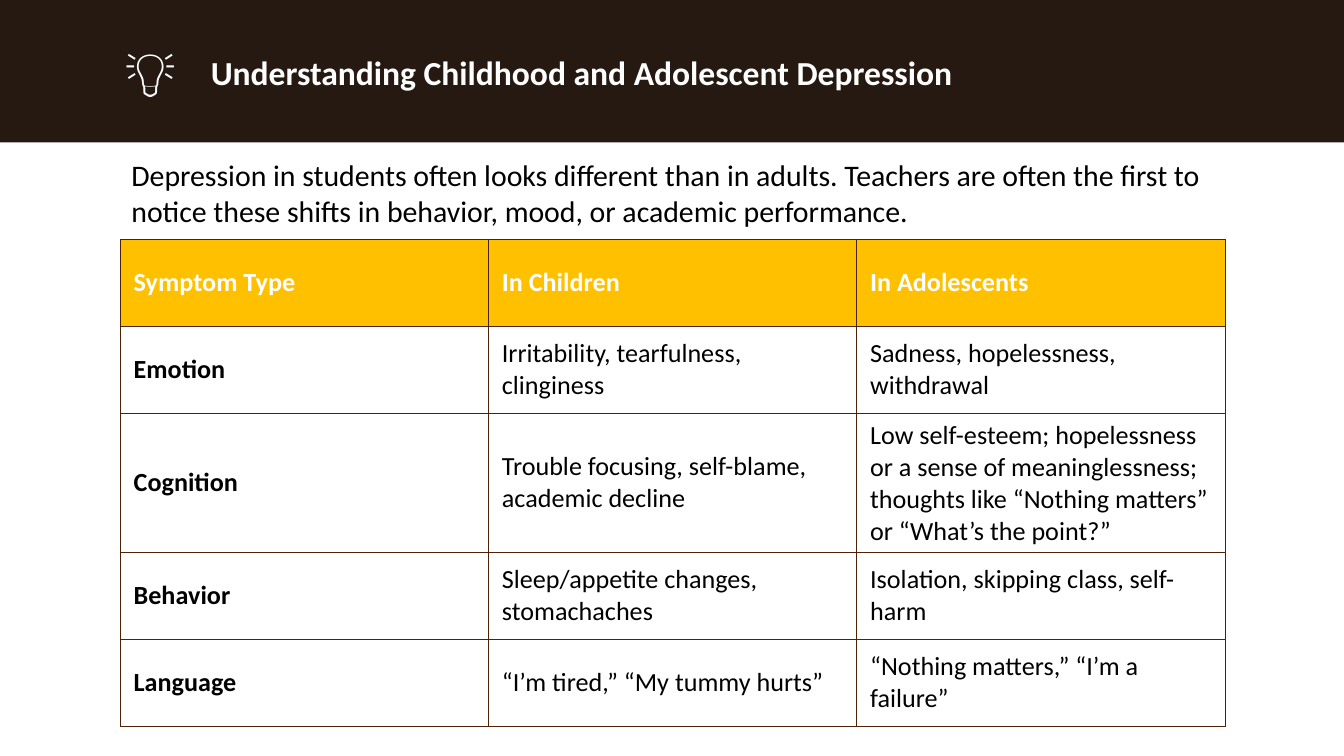
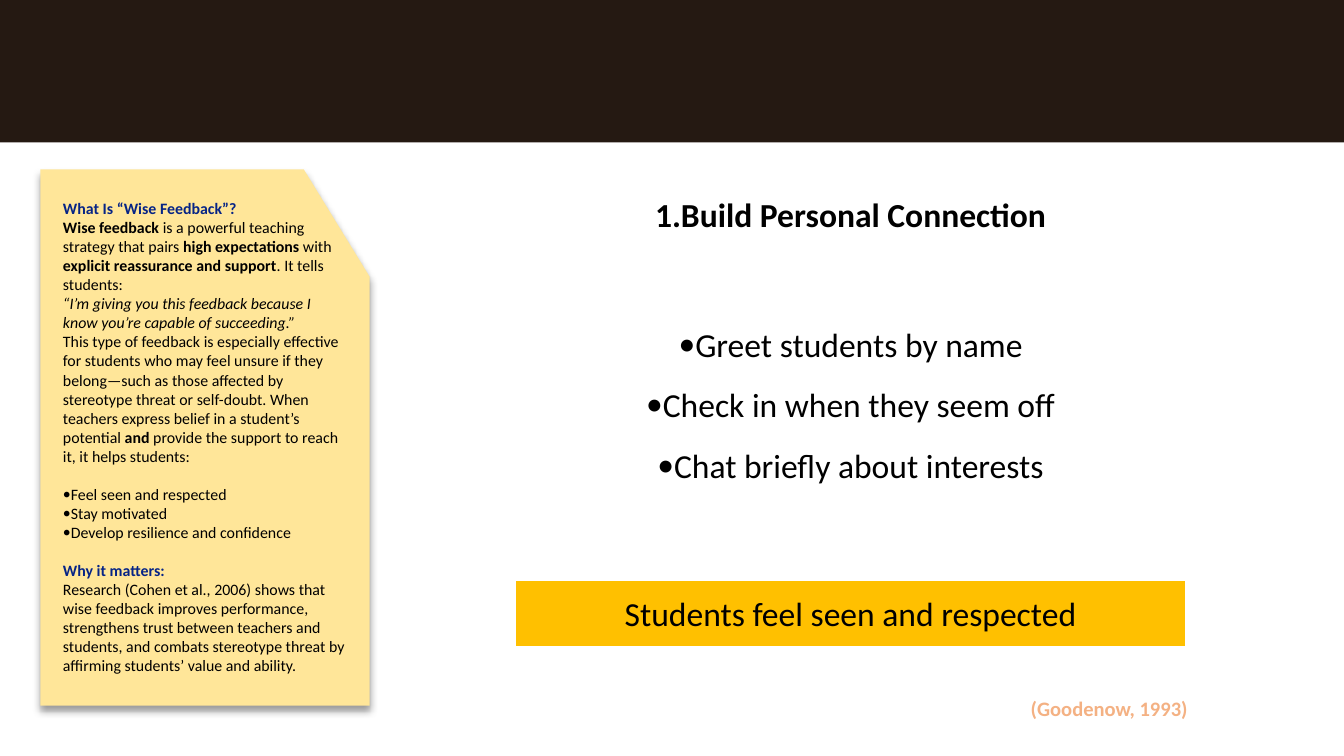
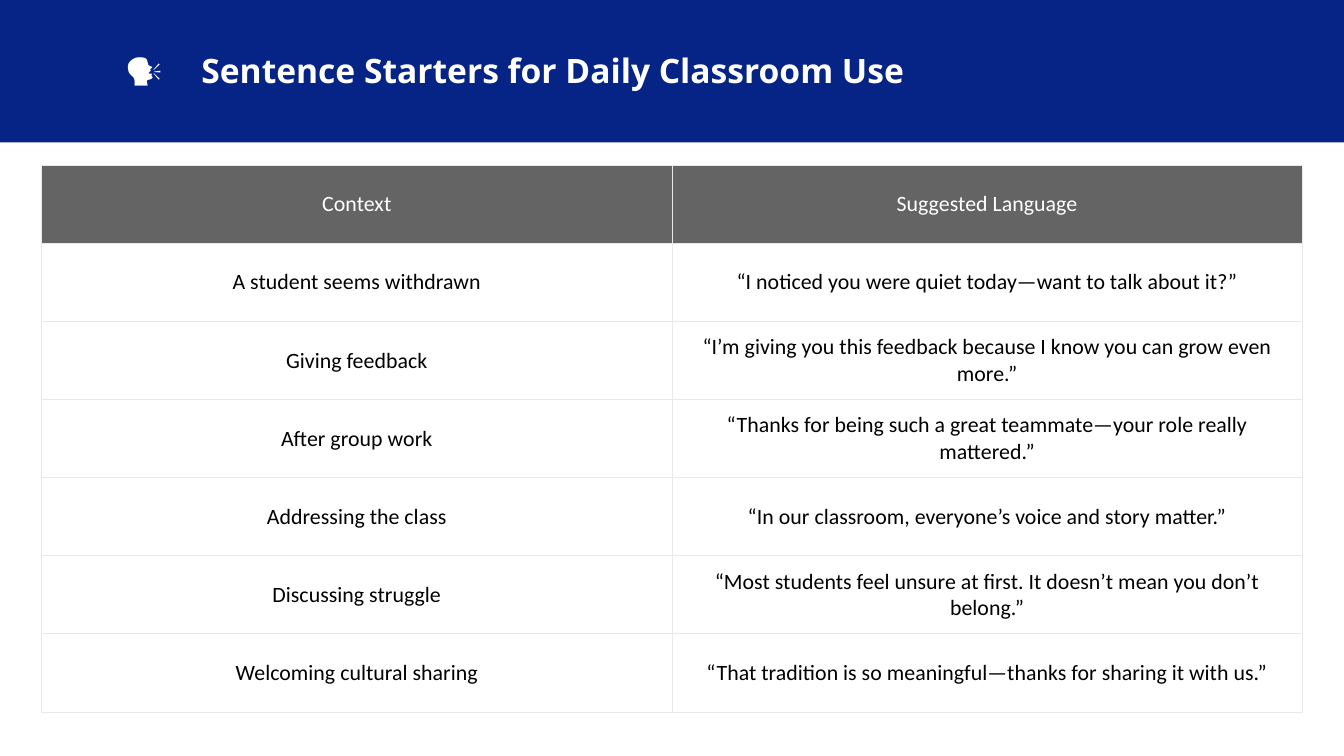
from dataclasses import dataclass, replace

from lxml import etree
from pptx import Presentation
from pptx.dml.color import RGBColor
from pptx.enum.shapes import MSO_SHAPE as Preset
from pptx.enum.text import MSO_ANCHOR as Anchor, PP_ALIGN as Align
from pptx.oxml.ns import qn
from pptx.util import Inches, Pt


@dataclass(frozen=True)
class Theme:
    """Colours, fonts and type sizes shared by the slides."""
    dark: str = "251912"
    navy: str = "062486"
    gold: str = "FFC000"
    sand: str = "FFE699"
    peach: str = "F4B183"
    brown: str = "4D2307"
    slate: str = "646464"
    mist: str = "E9E9E9"
    white: str = "FFFFFF"
    black: str = "000000"
    body_font: str = "Calibri"
    title_font: str = "Open Sans"
    icon_font: str = "Noto Sans CJK SC"
    title: float = 18
    intro: float = 16
    symptom: float = 14
    starter: float = 11.7
    citation: float = 11
    note: float = 8.5
    rule: float = 0.5


THEME = Theme()
COLUMNS, ROWS, CELL = 100, 56.25, 0.1


@dataclass(frozen=True)
class Box:
    """An area measured in columns and rows of the slide grid."""
    col: float
    row: float
    cols: float
    rows: float

    def area(self, col, row, cols, rows):
        """Return an area placed relative to this one."""
        return Box(self.col + col, self.row + row, cols, rows)

    def emu(self):
        """Return left, top, width and height as slide lengths."""
        return [Inches(n * CELL) for n in (self.col, self.row, self.cols, self.rows)]


PAGE = Box(0, 0, COLUMNS, ROWS)
BAND = PAGE.area(0, 0, COLUMNS, 10.6)


@dataclass(frozen=True)
class Style:
    """The look of one run of text."""
    size: float
    color: str = THEME.black
    bold: bool = False
    italic: bool = False
    font: str = THEME.body_font


@dataclass(frozen=True)
class Para:
    """A paragraph made of (text, style) runs."""
    runs: tuple
    align: Align = Align.LEFT
    bullet: bool = False
    before: float = 0
    spacing: float = 1.0


def line(text, style, **layout):
    """Return a paragraph holding a single run."""
    return Para(((text, style),), **layout)


def rgb(color):
    """Convert a hex string to a colour."""
    return RGBColor.from_string(color)


def write(frame, paras):
    """Fill a text frame run by run."""
    frame.word_wrap = True
    for index, para in enumerate(paras):
        target = frame.paragraphs[0] if index == 0 else frame.add_paragraph()
        target.alignment = para.align
        target.space_before = Pt(para.before)
        target.line_spacing = para.spacing
        if para.bullet:
            props = target._p.get_or_add_pPr()
            props.set("marL", "0")
            props.set("indent", "0")
            etree.SubElement(props, qn("a:buFont")).set("typeface", THEME.body_font)
            etree.SubElement(props, qn("a:buChar")).set("char", "•")
        for text, style in para.runs:
            run = target.add_run()
            run.text = text
            font = run.font
            font.name, font.size = style.font, Pt(style.size)
            font.bold, font.italic = style.bold, style.italic
            font.color.rgb = rgb(style.color)
            etree.SubElement(run._r.get_or_add_rPr(), qn("a:ea")).set("typeface", style.font)


def add_text(slide, box, *paras, anchor=Anchor.TOP):
    """Place wrapped text in a box."""
    frame = slide.shapes.add_textbox(*box.emu()).text_frame
    write(frame, paras)
    frame.vertical_anchor = anchor


def add_panel(slide, box, color, preset=Preset.RECTANGLE):
    """Place a filled shape without outline or shadow."""
    panel = slide.shapes.add_shape(preset, *box.emu())
    panel.shadow.inherit = False
    panel.fill.solid()
    panel.fill.fore_color.rgb = rgb(color)
    panel.line.fill.background()
    return panel


def add_heading(slide, icon, icon_size, icon_box, title, title_font, title_box):
    """Place the icon and title on the top band."""
    white = Style(THEME.title, THEME.white, True, font=title_font)
    icon_style = replace(white, size=icon_size, font=THEME.icon_font)
    add_text(slide, icon_box, line(icon, icon_style), anchor=Anchor.MIDDLE)
    add_text(slide, title_box, line(title, white))


def rule_cell(cell, color):
    """Draw thin borders on all sides of a table cell."""
    props = cell._tc.get_or_add_tcPr()
    for position, side in enumerate(("a:lnL", "a:lnR", "a:lnT", "a:lnB")):
        border = etree.Element(qn(side), w=str(Pt(THEME.rule)))
        fill = etree.SubElement(border, qn("a:solidFill"))
        etree.SubElement(fill, qn("a:srgbClr")).set("val", color)
        props.insert(position, border)


def add_grid(slide, box, entries, style_of, align, head_fill, body_fill, border):
    """Place a table with equal columns and rows."""
    count, width = len(entries), len(entries[0])
    grid = slide.shapes.add_table(count, width, *box.emu()).table
    grid.horz_banding = False
    for r, entry in enumerate(entries):
        for c, text in enumerate(entry):
            cell = grid.cell(r, c)
            cell.vertical_anchor = Anchor.MIDDLE
            write(cell.text_frame, [line(text, style_of(r, c), align=align)])
            fill = head_fill if r == 0 else body_fill
            if fill:
                cell.fill.solid()
                cell.fill.fore_color.rgb = rgb(fill)
            else:
                cell.fill.background()
            rule_cell(cell, border)


SYMPTOMS = [
    ("Symptom Type", "In Children", "In Adolescents"),
    ("Emotion", "Irritability, tearfulness, clinginess", "Sadness, hopelessness, withdrawal"),
    ("Cognition", "Trouble focusing, self-blame, academic decline",
     "Low self-esteem; hopelessness or a sense of meaninglessness; "
     "thoughts like “Nothing matters” or “What’s the point?”"),
    ("Behavior", "Sleep/appetite changes, stomachaches", "Isolation, skipping class, self-harm"),
    ("Language", "“I’m tired,” “My tummy hurts”", "“Nothing matters,” “I’m a failure”"),
]

STARTERS = [
    ("Context", "Suggested Language"),
    ("A student seems withdrawn", "“I noticed you were quiet today—want to talk about it?”"),
    ("Giving feedback",
     "“I’m giving you this feedback because I know you can grow even more.”"),
    ("After group work", "“Thanks for being such a great teammate—your role really mattered.”"),
    ("Addressing the class", "“In our classroom, everyone’s voice and story matter.”"),
    ("Discussing struggle",
     "“Most students feel unsure at first. It doesn’t mean you don’t belong.”"),
    ("Welcoming cultural sharing",
     "“That tradition is so meaningful—thanks for sharing it with us.”"),
]


def symptom_style(row, col):
    """Return the style of a symptom table cell."""
    return Style(THEME.symptom, THEME.black if row else THEME.white, row == 0 or col == 0)


def starter_style(row, col):
    """Return the style of a sentence starter cell."""
    return Style(THEME.starter, THEME.black if row else THEME.white)


def symptoms_slide(slide):
    """Compare symptoms in children and adolescents."""
    add_panel(slide, BAND, THEME.dark)
    add_heading(slide, "💡", 26.6, BAND.area(8.3, 2.2, 85.4, 6),
                "Understanding Childhood and Adolescent Depression",
                THEME.body_font, BAND.area(14.7, 3.4, 58.7, 4))
    add_text(slide, PAGE.area(8.8, 11.2, 84.4, 6.7), line(
        "Depression in students often looks different than in adults. Teachers are often "
        "the first to notice these shifts in behavior, mood, or academic performance.",
        Style(THEME.intro)))
    add_grid(slide, PAGE.area(8.95, 17.8, 82.2, 32.4), SYMPTOMS, symptom_style,
             Align.LEFT, THEME.gold, None, THEME.brown)


def feedback_note(slide, box):
    """Explain wise feedback on a card with a cut corner."""
    card = add_panel(slide, box, THEME.sand, Preset.FLOWCHART_CARD)
    props = card._element.spPr
    props.find(qn("a:xfrm")).set("flipH", "1")
    shadow = etree.SubElement(props.find(qn("a:effectLst")), qn("a:outerShdw"),
                              blurRad=str(Pt(4)), dist=str(Pt(3)), dir="5400000")
    shade = etree.SubElement(shadow, qn("a:srgbClr"), val=THEME.black)
    etree.SubElement(shade, qn("a:alpha"), val="40000")

    plain = Style(THEME.note)
    bold = replace(plain, bold=True)
    head = replace(bold, color=THEME.navy)
    gap = THEME.note * 1.2
    benefits = ("Feel seen and respected", "Stay motivated", "Develop resilience and confidence")
    add_text(
        slide, box.area(0.7, 1.5, 23.1, 36.8),
        line("What Is “Wise Feedback”?", head),
        Para((("Wise feedback", bold),
              (" is a powerful teaching strategy that pairs ", plain),
              ("high expectations", bold), (" with ", plain),
              ("explicit reassurance and support", bold), (". It tells students:", plain))),
        line("“I’m giving you this feedback because I know you’re capable of succeeding.”",
             replace(plain, italic=True)),
        Para((("This type of feedback is especially effective for students who may feel unsure "
               "if they belong—such as those affected by stereotype threat or self-doubt. When "
               "teachers express belief in a student’s potential ", plain),
              ("and", bold), (" provide the support to reach it, it helps students:", plain))),
        *(line(benefit, plain, bullet=True, before=0 if i else gap)
          for i, benefit in enumerate(benefits)),
        line("Why it matters:", head, before=gap),
        line("Research (Cohen et al., 2006) shows that wise feedback improves performance, "
             "strengthens trust between teachers and students, and combats stereotype threat by "
             "affirming students’ value and ability.", plain),
        anchor=Anchor.MIDDLE)


def connection_steps(slide, box):
    """List the steps for building connection and their outcome."""
    body = Style(THEME.title)
    add_text(slide, box.area(0, 0, 57.4, 4.2),
             line("1.Build Personal Connection", replace(body, bold=True), align=Align.CENTER))
    steps = ("Greet students by name", "Check in when they seem off",
             "Chat briefly about interests")
    outcome = box.area(3.7, 29.2, 50, 5.1)
    bar = add_panel(slide, outcome, THEME.gold)
    bar.line.color.rgb = rgb(THEME.white)
    bar.line.width = Pt(1.5)
    add_text(slide, outcome.area(0, 0.5, 50, 4),
             line("Students feel seen and respected", body, align=Align.CENTER))
    add_text(slide, box.area(3.7, 8.2, 50, 14.2),
             *(line(step, body, align=Align.CENTER, bullet=True, spacing=1.5) for step in steps))
    add_text(slide, box.area(41.1, 37.4, 14.2, 2.9),
             line("(Goodenow, 1993)", Style(THEME.citation, THEME.peach, True)))


def connection_slide(slide):
    """Pair the connection steps with the feedback note."""
    add_panel(slide, BAND, THEME.dark)
    connection_steps(slide, PAGE.area(34.6, 13.9, 57.4, 40.3))
    feedback_note(slide, PAGE.area(3, 12.6, 24.5, 39.9))


def starters_slide(slide):
    """Suggest sentence starters for classroom moments."""
    add_panel(slide, BAND, THEME.navy)
    add_heading(slide, "🗣️", 21, BAND.area(8.3, 2.2, 5.7, 6),
                "Sentence Starters for Daily Classroom Use",
                THEME.title_font, BAND.area(14, 3.2, 65.2, 4))
    add_grid(slide, PAGE.area(3.1, 12.3, 93.8, 40.7), STARTERS, starter_style,
             Align.CENTER, THEME.slate, THEME.white, THEME.mist)


def main():
    """Build and save the deck."""
    deck = Presentation()
    deck.slide_width, deck.slide_height = PAGE.emu()[2:]
    for build in (symptoms_slide, connection_slide, starters_slide):
        build(deck.slides.add_slide(deck.slide_layouts[6]))
    deck.save("out.pptx")


if __name__ == "__main__":
    main()
